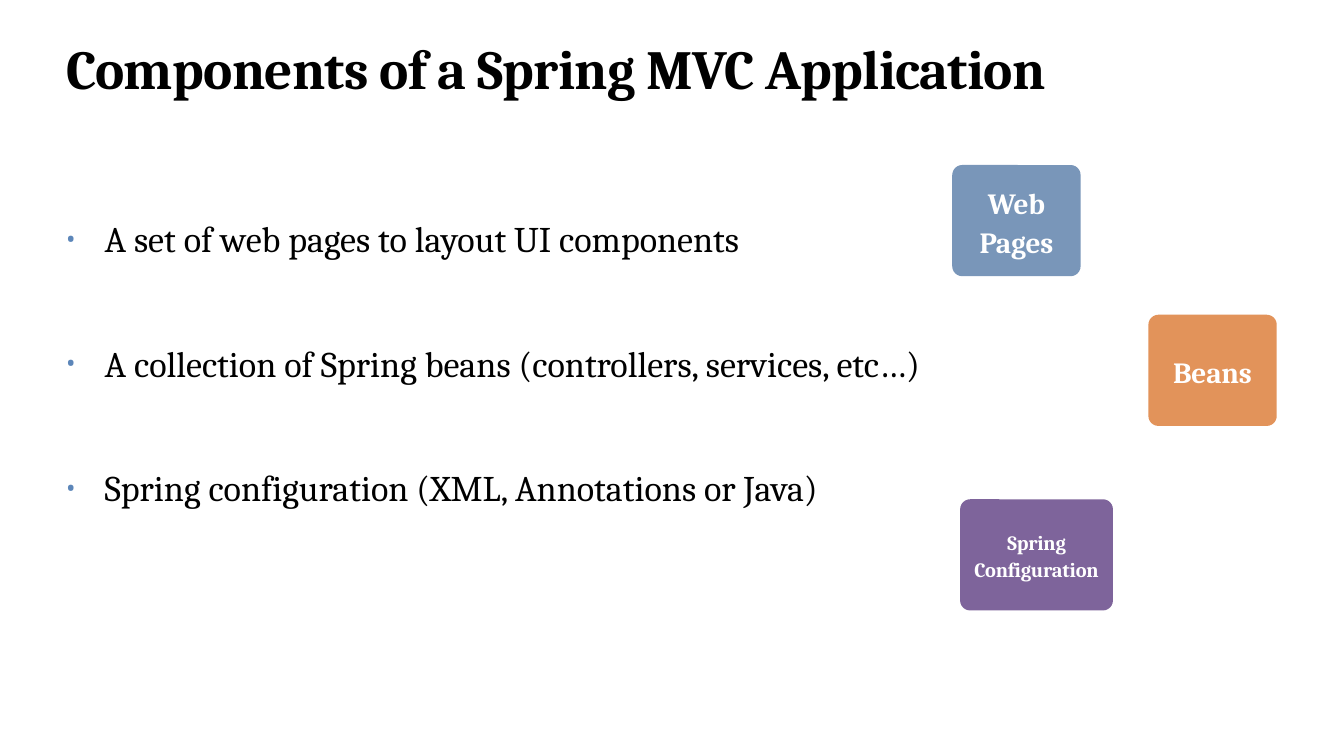
from lxml.etree import SubElement
from pptx import Presentation
from pptx.dml.color import RGBColor
from pptx.enum.shapes import MSO_SHAPE as SHAPE
from pptx.enum.text import MSO_ANCHOR as ANCHOR, MSO_AUTO_SIZE as AUTO, PP_ALIGN as ALIGN
from pptx.oxml.ns import qn
from pptx.util import Pt

BLACK = RGBColor(0x00, 0x00, 0x00)
WHITE = RGBColor(0xFF, 0xFF, 0xFF)
BULLET = RGBColor(0x5C, 0x86, 0xB9)
BLUE = RGBColor(0x79, 0x96, 0xB9)
ORANGE = RGBColor(0xE2, 0x93, 0x5A)
PURPLE = RGBColor(0x7E, 0x64, 0x9B)
FONT = "Cambria"
LINE, PITCH = 50, 146.5
POINTS = [
    "A set of web pages to layout UI components",
    "A collection of Spring beans (controllers, services, etc…)",
    "Spring configuration (XML, Annotations or Java)",
]
TILES = [
    ("Web Pages", (1121.8, 194.4, 151.2, 131), BLUE, 34.5),
    ("Beans", (1352.9, 370.8, 151.2, 131), ORANGE, 34.5),
    ("Spring Configuration", (1131.1, 588.2, 180, 131), PURPLE, 24),
]


def set_frame(tf, anchor):
    """Give a text frame no margins, wrapping and a fixed size."""
    values = {"margin_left": 0, "margin_right": 0, "margin_top": 0, "margin_bottom": 0,
              "word_wrap": True, "auto_size": AUTO.NONE, "vertical_anchor": anchor}
    for name, value in values.items():
        setattr(tf, name, value)


def add_run(p, text, size, color, bold=False, spacing=0):
    """Append formatted text to a paragraph; spacing is in points."""
    r = p.add_run()
    r.text = text
    for name, value in {"name": FONT, "size": Pt(size), "bold": bold}.items():
        setattr(r.font, name, value)
    r.font.color.rgb = color
    if spacing:
        r.font._element.set("spc", str(round(spacing * 100)))


def set_bullet(p, indent):
    """Hang a small coloured bullet before a paragraph."""
    pPr = p._p.get_or_add_pPr()
    pPr.set("marL", str(Pt(indent)))
    pPr.set("indent", str(-Pt(indent)))
    clr = SubElement(pPr, qn("a:buClr"))
    SubElement(clr, qn("a:srgbClr"), val=str(BULLET))
    SubElement(pPr, qn("a:buSzPct"), val="70000")
    SubElement(pPr, qn("a:buFont"), typeface="Noto Sans")
    SubElement(pPr, qn("a:buChar"), char="•")


def add_title(s, box, text):
    """Place the slide title in the box."""
    title = s.shapes.title
    for name, value in zip(("left", "top", "width", "height"), box):
        setattr(title, name, Pt(value))
    set_frame(title.text_frame, ANCHOR.TOP)
    p = title.text_frame.paragraphs[0]
    p.alignment = ALIGN.LEFT
    add_run(p, text, 65, BLACK, bold=True, spacing=-0.8)


def add_points(s, box, points):
    """Fill the box with an evenly spaced bullet list."""
    tf = s.shapes.add_textbox(*map(Pt, box)).text_frame
    set_frame(tf, ANCHOR.TOP)
    for i, text in enumerate(points):
        p = tf.add_paragraph() if i else tf.paragraphs[0]
        p.line_spacing = Pt(LINE)
        if i:
            p.space_before = Pt(PITCH - LINE)
        set_bullet(p, 45.4)
        add_run(p, text, 42.5, BLACK)


def add_tile(s, box, text, color, size):
    """Draw a rounded tile with a centred label in the box."""
    sp = s.shapes.add_shape(SHAPE.ROUNDED_RECTANGLE, *map(Pt, box))
    sp.shadow.inherit = False
    sp.adjustments[0] = 0.09
    sp.fill.solid()
    sp.fill.fore_color.rgb = color
    sp.line.fill.background()
    set_frame(sp.text_frame, ANCHOR.MIDDLE)
    p = sp.text_frame.paragraphs[0]
    p.alignment = ALIGN.CENTER
    p.line_spacing = 1.1
    add_run(p, text, size, WHITE, bold=True, spacing=-0.2)


def main():
    """Build the slide and save it."""
    prs = Presentation()
    prs.slide_width, prs.slide_height = Pt(1583.28), Pt(890.64)
    s = prs.slides.add_slide(prs.slide_layouts[5])
    add_title(s, (77.8, 40, 1233, 80), "Components of a Spring MVC Application")
    add_points(s, (77.8, 256.5, 1040, LINE + 2 * PITCH), POINTS)
    for text, box, color, size in TILES:
        add_tile(s, box, text, color, size)
    prs.save("out.pptx")


if __name__ == "__main__":
    main()
